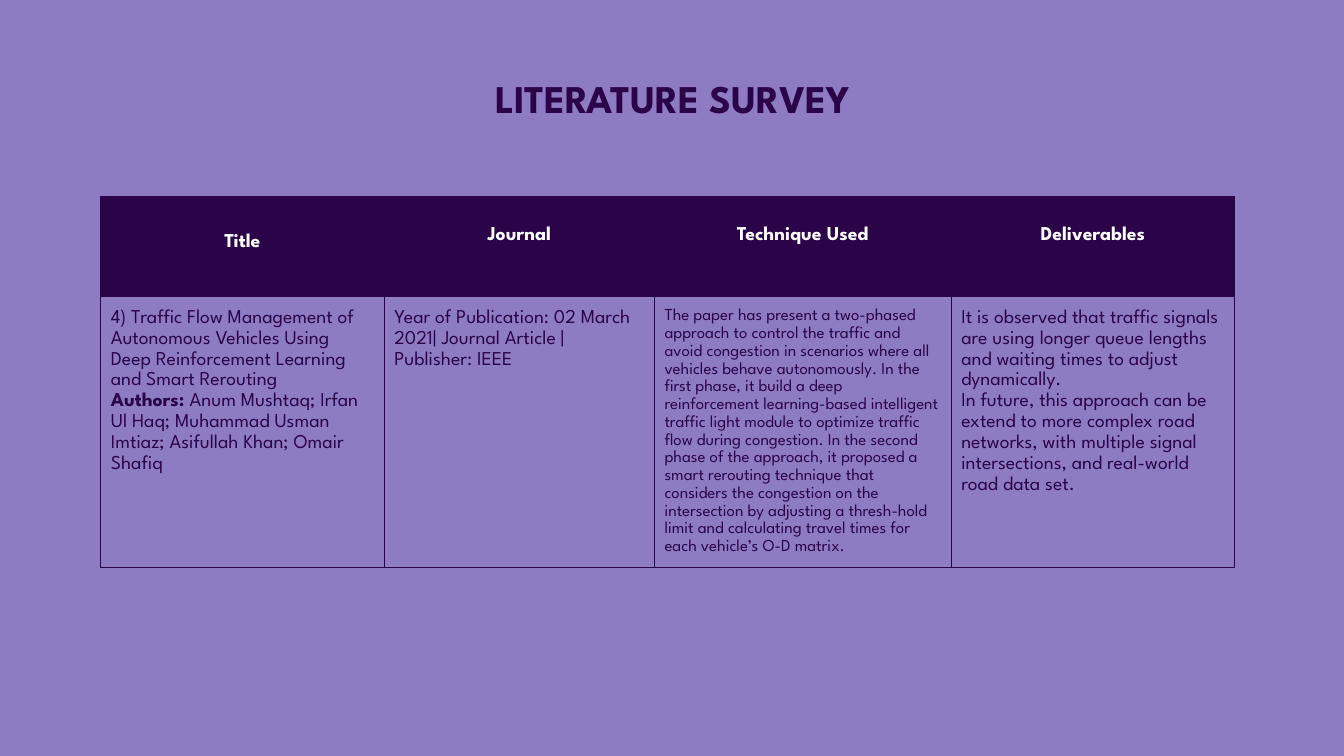
from lxml import etree
from pptx import Presentation
from pptx.dml.color import RGBColor
from pptx.enum import text
from pptx.oxml import ns
from pptx.util import Pt

FACE = "League Spartan"
DARK, LILAC, WHITE = "2B0348", "8E7CC3", "FFFFFF"
WIDTHS = (202.5, 193, 212, 202.5)
HEIGHTS = (72, 193)
# Each heading: wording, top inset
HEADS = (("Title", 25), ("Journal", 20), ("Technique Used", 20), ("Deliverables", 20))
# Each body cell: text size, paragraphs made of (wording, bold) runs
BODY = (
    (14, [[("4) Traffic Flow Management of Autonomous Vehicles Using Deep "
            "Reinforcement Learning and Smart Rerouting", False)],
          [("Authors: ", True),
           ("Anum Mushtaq; Irfan Ul Haq; Muhammad Usman Imtiaz; Asifullah Khan; "
            "Omair Shafiq", False)]]),
    (14, [[("Year of Publication: 02 March 2021| Journal Article | Publisher: IEEE",
            False)]]),
    (12, [[("The paper has present a two-phased approach to control the traffic and "
            "avoid congestion in scenarios where all vehicles behave autonomously. "
            "In the first phase, it build a deep reinforcement learning-based "
            "intelligent traffic light module to optimize traffic flow during "
            "congestion. In the second phase of the approach, it proposed a smart "
            "rerouting technique that considers the congestion on the intersection "
            "by adjusting a thresh-hold limit and calculating travel times for each "
            "vehicle’s O-D matrix.", False)]]),
    (14, [[("It is observed that traffic signals are using longer queue lengths and "
            "waiting times to adjust dynamically.", False)],
          [("In future, this approach can be extend to more complex road networks, "
            "with multiple signal intersections, and real-world road data set.",
            False)]]),
)


def paint(fill, color):
    fill.solid()
    fill.fore_color.rgb = RGBColor.from_string(color)


def write(frame, paras, size, color, align, space):
    for i, runs in enumerate(paras):
        para = frame.add_paragraph() if i else frame.paragraphs[0]
        para.alignment, para.line_spacing = align, space
        for words, bold in runs:
            run = para.add_run()
            run.text = words
            run.font.name, run.font.size, run.font.bold = FACE, Pt(size), bold
            paint(run.font.fill, color)


def edge(cell):
    """Rule all four sides; borders must come before the cell's fill."""
    props = cell._tc.get_or_add_tcPr()
    for i, side in enumerate(("lnL", "lnR", "lnT", "lnB")):
        line = etree.Element(ns.qn("a:" + side), w=str(Pt(0.75)))
        fill = etree.SubElement(line, ns.qn("a:solidFill"))
        etree.SubElement(fill, ns.qn("a:srgbClr"), val=DARK)
        props.insert(i, line)


def add_title(slide, left, top, width, height):
    title = slide.shapes.title
    title.left, title.top = Pt(left), Pt(top)
    title.width, title.height = Pt(width), Pt(height)
    frame = title.text_frame
    frame.word_wrap = True
    frame.auto_size = text.MSO_AUTO_SIZE.NONE
    frame.vertical_anchor = text.MSO_ANCHOR.TOP
    write(frame, [[("LITERATURE SURVEY", True)]], 28, DARK,
          text.PP_ALIGN.CENTER, 0.9)


def add_survey(slide, left, top):
    table = slide.shapes.add_table(len(HEIGHTS), len(WIDTHS), Pt(left), Pt(top),
                                   Pt(sum(WIDTHS)), Pt(sum(HEIGHTS))).table
    table.horz_banding = False
    for row, height in zip(table.rows, HEIGHTS):
        row.height = Pt(height)
    for i, width in enumerate(WIDTHS):
        table.columns[i].width = Pt(width)
        head, body = table.cell(0, i), table.cell(1, i)
        for cell in (head, body):
            cell.margin_left = cell.margin_right = Pt(7.2)
            cell.margin_top = cell.margin_bottom = Pt(7.2)
            cell.vertical_anchor = text.MSO_ANCHOR.TOP
            edge(cell)
        words, inset = HEADS[i]
        head.margin_top = Pt(inset)
        paint(head.fill, DARK)
        write(head.text_frame, [[(words, True)]], 14, WHITE,
              text.PP_ALIGN.CENTER, 1.15)
        size, paras = BODY[i]
        body.fill.background()
        write(body.text_frame, paras, size, DARK, text.PP_ALIGN.LEFT, 1.15)


def main():
    deck = Presentation()
    deck.slide_width, deck.slide_height = Pt(960), Pt(540)
    slide = deck.slides.add_slide(deck.slide_layouts[5])
    paint(slide.background.fill, LILAC)
    add_title(slide, 286, 53.5, 389, 45)
    add_survey(slide, 72, 140)
    deck.save("out.pptx")


if __name__ == "__main__":
    main()
